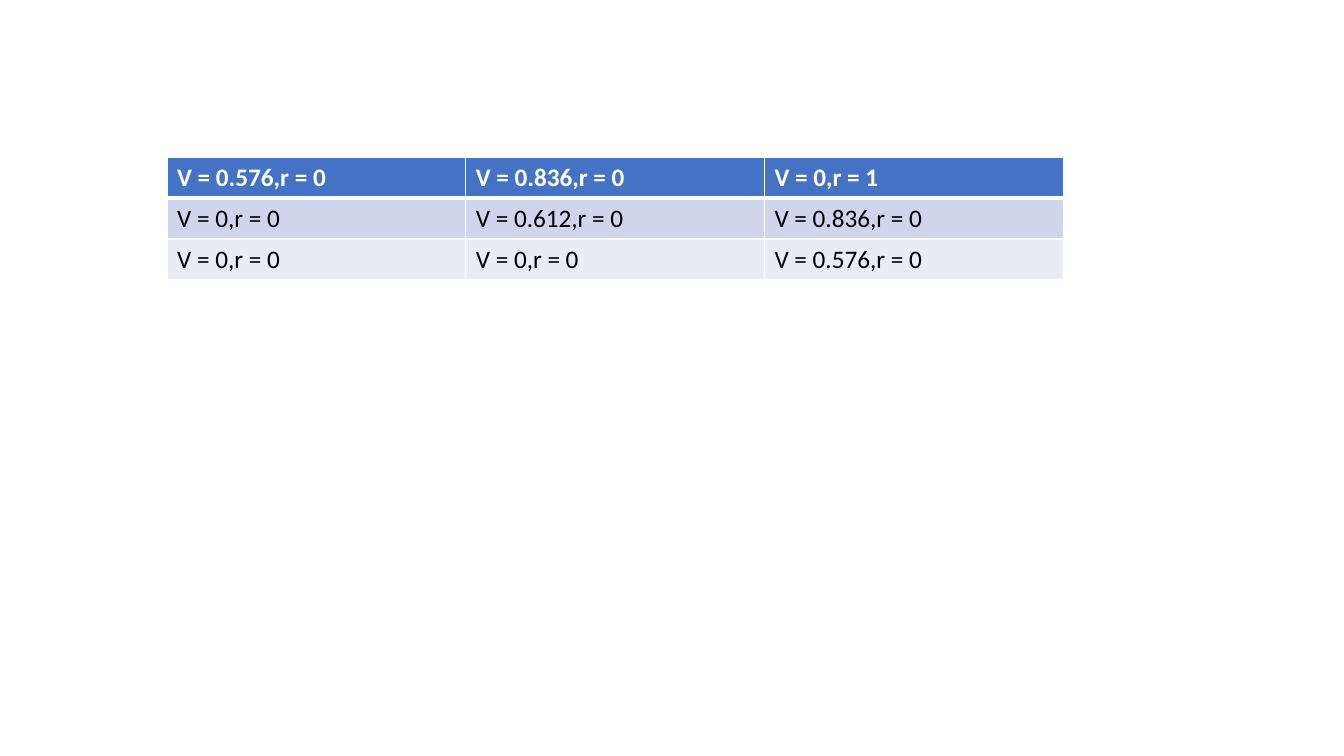
from lxml.etree import SubElement
from pptx import Presentation
from pptx.dml.color import RGBColor
from pptx.oxml.ns import qn
from pptx.util import Emu, Inches, Pt

ROWS = [
    ["V = 0.576,r = 0", "V = 0.836,r = 0", "V = 0,r = 1"],
    ["V = 0,r = 0", "V = 0.612,r = 0", "V = 0.836,r = 0"],
    ["V = 0,r = 0", "V = 0,r = 0", "V = 0.576,r = 0"],
]
LEFT, TOP, WIDTH, ROW_HEIGHT = 167, 157, 896, 41

WHITE = RGBColor(0xFF, 0xFF, 0xFF)
BLACK = RGBColor(0x00, 0x00, 0x00)
BLUE = RGBColor(0x44, 0x72, 0xC4)
BAND_DARK = RGBColor(0xCF, 0xD5, 0xEA)
BAND_LIGHT = RGBColor(0xE9, 0xEB, 0xF5)
ROW_FILLS = [BLUE, BAND_DARK, BAND_LIGHT]


def px(n):
    return Emu(round(n * 914400 / 100.8))


def set_borders(cell, top, bottom):
    """Draw white borders, 1 pt at the sides and as given in points elsewhere."""
    tcPr = cell._tc.get_or_add_tcPr()
    for side, width in (("L", 1), ("R", 1), ("T", top), ("B", bottom)):
        ln = SubElement(tcPr, qn(f"a:ln{side}"), w=str(Pt(width)))
        fill = SubElement(ln, qn("a:solidFill"))
        SubElement(fill, qn("a:srgbClr"), val=str(WHITE))


def main():
    prs = Presentation()
    prs.slide_width, prs.slide_height = Inches(13.33), Inches(7.5)
    s = prs.slides.add_slide(prs.slide_layouts[6])

    n_rows, n_cols = len(ROWS), len(ROWS[0])
    table = s.shapes.add_table(n_rows, n_cols, px(LEFT), px(TOP),
                               px(WIDTH), px(ROW_HEIGHT * n_rows)).table
    for i, row in enumerate(ROWS):
        table.rows[i].height = px(ROW_HEIGHT)
        header = i == 0
        for j, text in enumerate(row):
            cell = table.cell(i, j)
            set_borders(cell, top=3 if i == 1 else 1, bottom=3 if header else 1)
            cell.fill.solid()
            cell.fill.fore_color.rgb = ROW_FILLS[i]
            cell.text_frame.text = text
            font = cell.text_frame.paragraphs[0].runs[0].font
            font.name, font.size, font.bold = "Calibri", Pt(18), header
            font.color.rgb = WHITE if header else BLACK

    prs.save("out.pptx")


if __name__ == "__main__":
    main()
